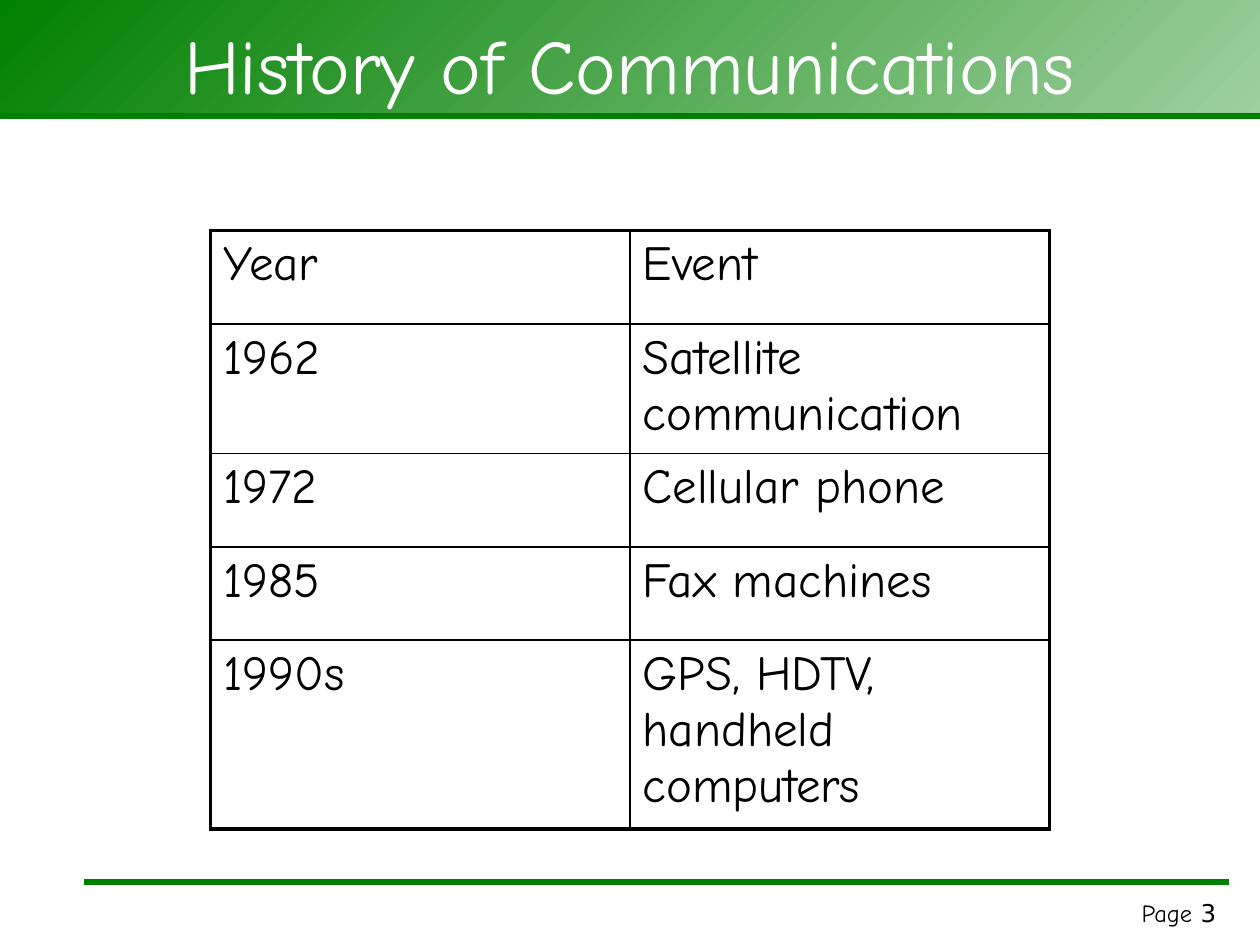
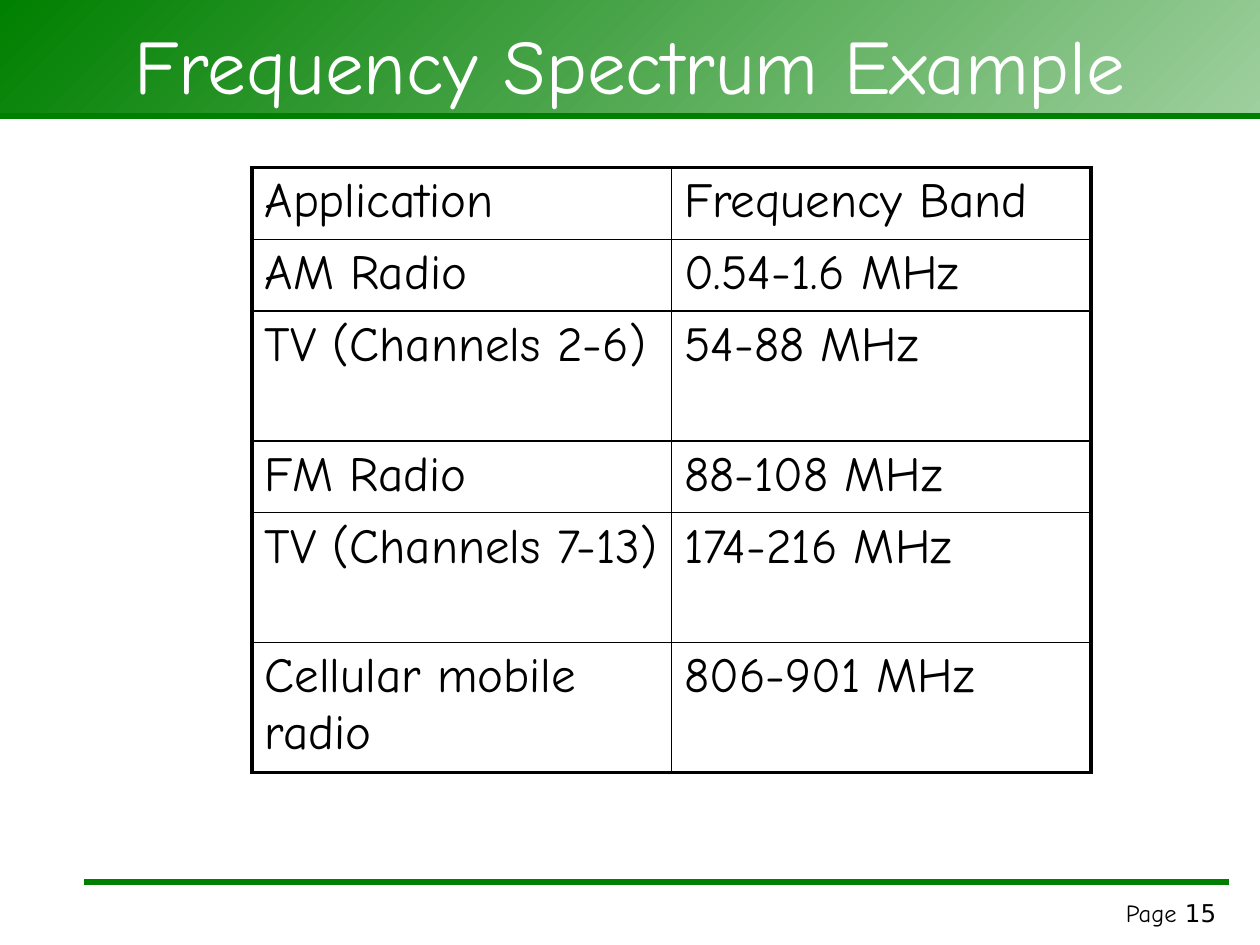
from lxml import etree
from pptx import Presentation
from pptx.dml.color import RGBColor
from pptx.enum.shapes import MSO_CONNECTOR, MSO_SHAPE
from pptx.enum.text import MSO_ANCHOR, PP_ALIGN
from pptx.oxml.ns import qn
from pptx.util import Inches, Pt

RECTANGLE = MSO_SHAPE.RECTANGLE
STRAIGHT = MSO_CONNECTOR.STRAIGHT
MIDDLE = MSO_ANCHOR.MIDDLE
CENTER, RIGHT = PP_ALIGN.CENTER, PP_ALIGN.RIGHT
TITLE_ONLY = 5

COLORS = {"green": "008000", "pale_green": "9ECF9E", "black": "000000", "white": "FFFFFF"}
TEXT_FONT, NUMBER_FONT = "Comic Neue", "DejaVu Sans"
BAND_HEIGHT = 0.92
COLUMN_WIDTH = 3.33
OUTER_BORDER, INNER_BORDER = 2.25, 1

HISTORY = [
    ("Year", "Event"),
    ("1962", "Satellite communication"),
    ("1972", "Cellular phone"),
    ("1985", "Fax machines"),
    ("1990s", "GPS, HDTV, handheld computers"),
]
SPECTRUM = [
    ("Application", "Frequency Band"),
    ("AM Radio", "0.54-1.6 MHz"),
    ("TV (Channels 2-6)", "54-88 MHz"),
    ("FM Radio", "88-108 MHz"),
    ("TV (Channels 7-13)", "174-216 MHz"),
    ("Cellular mobile radio", "806-901 MHz"),
]


def color(name):
    return RGBColor.from_string(COLORS[name])


class Deck:
    """Holds the shared style and the slide being built."""

    def __init__(self):
        self.presentation = Presentation()
        self.presentation.slide_width = Inches(10)
        self.presentation.slide_height = Inches(7.5)
        self.slide = None

    def add_slide(self, title, page):
        layout = self.presentation.slide_layouts[TITLE_ONLY]
        self.slide = self.presentation.slides.add_slide(layout)
        self.band()
        self.rule(0.67, 9.75, 7)
        self.page_number(page)
        self.rule(0, 10, BAND_HEIGHT)
        self.title(title)

    def format_run(self, run, size, color_name="black", font=TEXT_FONT):
        run.font.name = font
        run.font.size = Pt(size)
        run.font.color.rgb = color(color_name)

    def band(self):
        shape = self.slide.shapes.add_shape(
            RECTANGLE, 0, 0, Inches(10), Inches(BAND_HEIGHT))
        shape.shadow.inherit = False
        shape.line.fill.background()
        shape.fill.gradient()
        shape.fill.gradient_angle = 315
        for stop, name in zip(shape.fill.gradient_stops, ("green", "pale_green")):
            stop.color.rgb = color(name)

    def rule(self, left, right, top):
        connector = self.slide.shapes.add_connector(
            STRAIGHT, Inches(left), Inches(top), Inches(right), Inches(top))
        connector.line.color.rgb = color("green")
        connector.line.width = Pt(3)
        etree.SubElement(connector.element.spPr, qn("a:effectLst"))

    def page_number(self, page):
        box = self.slide.shapes.add_textbox(
            Inches(7.67), Inches(7.08), Inches(2.08), Inches(0.25))
        box.text_frame.word_wrap = True
        paragraph = box.text_frame.paragraphs[0]
        paragraph.alignment = RIGHT
        for text, font in (("Page ", TEXT_FONT), (str(page), NUMBER_FONT)):
            run = paragraph.add_run()
            run.text = text
            self.format_run(run, 14, font=font)

    def title(self, text):
        shape = self.slide.shapes.title
        shape.element.getparent().append(shape.element)  # in front of the band
        shape.left, shape.top = Inches(0.29), Inches(0.17)
        shape.width, shape.height = Inches(9.42), Inches(0.67)
        frame = shape.text_frame
        frame.text = text
        frame.vertical_anchor = MIDDLE
        frame.paragraphs[0].alignment = CENTER
        self.format_run(frame.paragraphs[0].runs[0], 44, "white")

    def table(self, left, top, rows, heights):
        column_count = len(rows[0])
        table = self.slide.shapes.add_table(
            len(rows), column_count, Inches(left), Inches(top),
            Inches(COLUMN_WIDTH * column_count), Inches(sum(heights))).table
        table.first_row = table.horz_banding = False
        for column in table.columns:
            column.width = Inches(COLUMN_WIDTH)
        for row_index, (texts, height) in enumerate(zip(rows, heights)):
            table.rows[row_index].height = Inches(height)
            for column_index, text in enumerate(texts):
                cell = table.cell(row_index, column_index)
                cell.text = text
                self.format_run(cell.text_frame.paragraphs[0].runs[0], 28)
                self.borders(cell, {
                    "L": column_index == 0,
                    "R": column_index == column_count - 1,
                    "T": row_index == 0,
                    "B": row_index == len(rows) - 1,
                })
                cell.fill.background()

    def borders(self, cell, outer_sides):
        """Draw all four borders, thicker on the table's outer sides."""
        properties = cell._tc.get_or_add_tcPr()
        for side, is_outer in outer_sides.items():
            width = Pt(OUTER_BORDER if is_outer else INNER_BORDER)
            line = etree.SubElement(properties, qn(f"a:ln{side}"), w=str(width))
            fill = etree.SubElement(line, qn("a:solidFill"))
            etree.SubElement(fill, qn("a:srgbClr"), val=COLORS["black"])


def main():
    deck = Deck()
    deck.add_slide("History of Communications", 3)
    deck.table(1.67, 1.83, HISTORY, [0.74, 1.03, 0.74, 0.74, 1.5])
    deck.add_slide("Frequency Spectrum Example", 15)
    deck.table(2, 1.33, SPECTRUM, [0.57, 0.57, 1.03, 0.57, 1.03, 1.03])
    deck.presentation.save("out.pptx")


if __name__ == "__main__":
    main()
